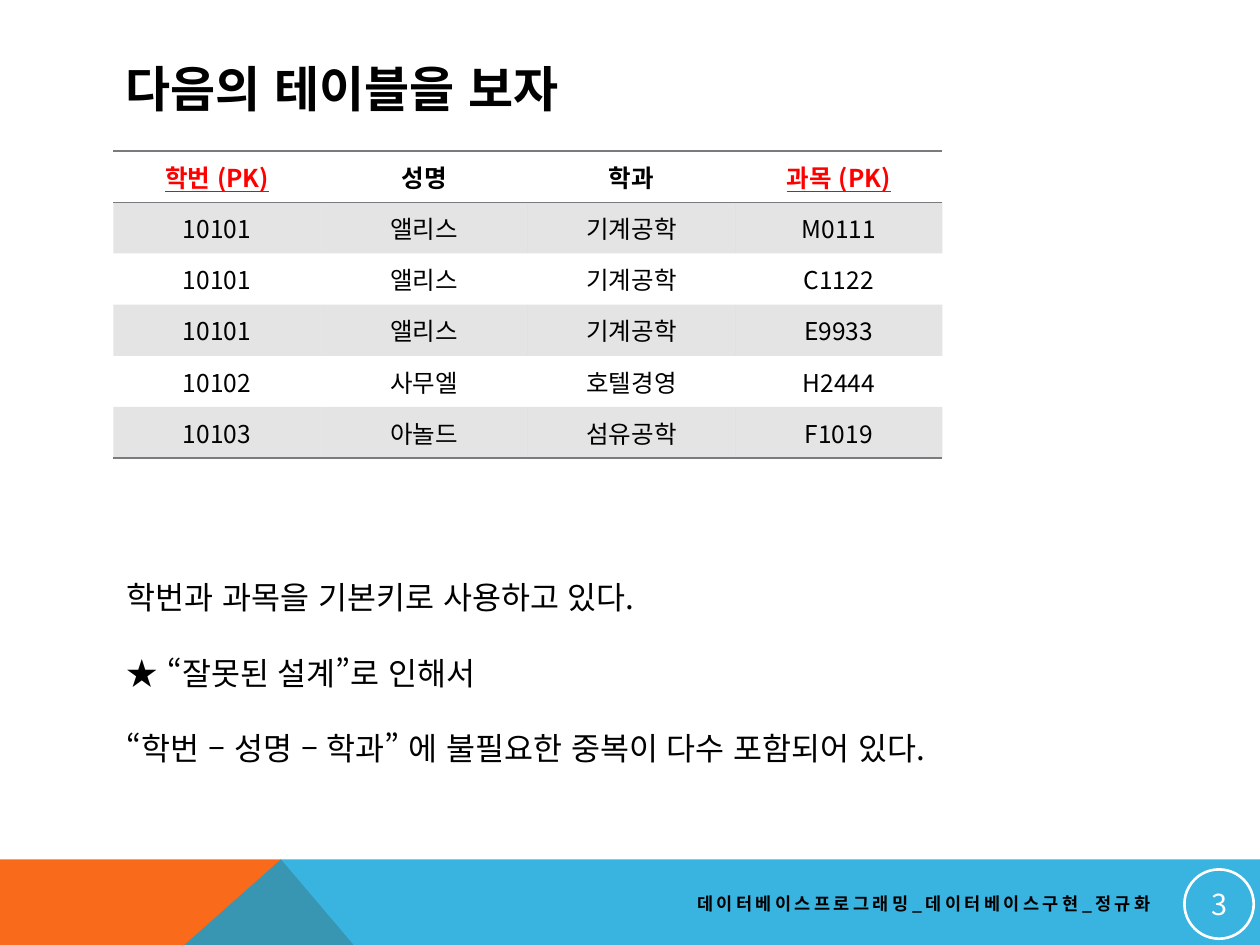
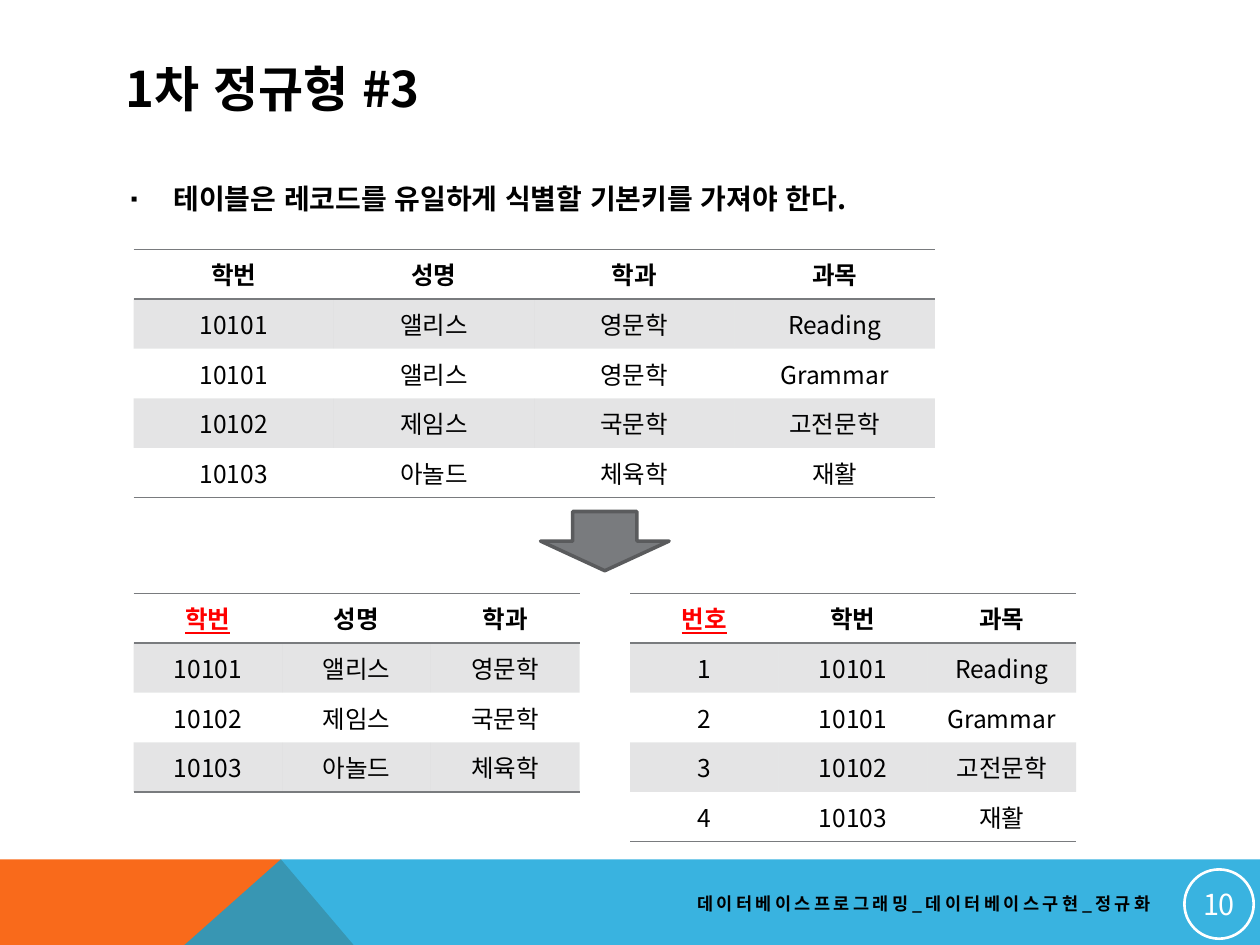
from pptx import Presentation
from pptx.util import Inches, Pt
from pptx.dml.color import RGBColor
from pptx.enum.shapes import MSO_SHAPE
from pptx.enum.text import PP_ALIGN, MSO_ANCHOR
from pptx.oxml import parse_xml
from pptx.oxml.ns import qn, nsdecls
from lxml.etree import SubElement

FONT = "Noto Sans CJK KR"
INK = {"black": "000000", "white": "FFFFFF", "red": "FF0000", "grey": "797B7E",
       "dark": "5A5B5D", "orange": "F96A1B", "blue": "08A1D9"}
PLAIN = "{2D5ABB26-0587-4C30-8999-92F81FD0307C}"
FOOT = "데이터베이스프로그래밍_데이터베이스구현_정규화"
BANDS = [("orange", None, [(0, 8.8), (0, 6.82), (2.23, 6.82), (3.91, 8.8)]),
         ("blue", 80, [(0, 8.8), (2.23, 6.82), (10, 6.82), (10, 8.8)])]

SLIDES = [
    {"title": "다음의 테이블을 보자", "page": "3",
     "body": ["학번과 과목을 기본키로 사용하고 있다.",
              "★ “잘못된 설계”로 인해서",
              "“학번 – 성명 – 학과” 에 불필요한 중복이 다수 포함되어 있다."],
     "tables": [
         {"at": (0.9, 1.2), "width": 6.58, "row": 0.406, "keys": (0, 3), "rows": [
             ("학번 (PK)", "성명", "학과", "과목 (PK)"),
             ("10101", "앨리스", "기계공학", "M0111"),
             ("10101", "앨리스", "기계공학", "C1122"),
             ("10101", "앨리스", "기계공학", "E9933"),
             ("10102", "사무엘", "호텔경영", "H2444"),
             ("10103", "아놀드", "섬유공학", "F1019")]}]},
    {"title": "1차 정규형 #3", "page": "10",
     "point": "테이블은 레코드를 유일하게 식별할 기본키를 가져야 한다.",
     "arrow": (4.29, 4.06, 1.02, 0.47),
     "tables": [
         {"at": (1.06, 4.71), "width": 3.54, "row": 0.394, "keys": (0,), "rows": [
             ("학번", "성명", "학과"),
             ("10101", "앨리스", "영문학"),
             ("10102", "제임스", "국문학"),
             ("10103", "아놀드", "체육학")]},
         {"at": (1.06, 1.98), "width": 6.36, "row": 0.394, "keys": (), "rows": [
             ("학번", "성명", "학과", "과목"),
             ("10101", "앨리스", "영문학", "Reading"),
             ("10101", "앨리스", "영문학", "Grammar"),
             ("10102", "제임스", "국문학", "고전문학"),
             ("10103", "아놀드", "체육학", "재활")]},
         {"at": (5, 4.71), "width": 3.54, "row": 0.394, "keys": (0,), "rows": [
             ("번호", "학번", "과목"),
             ("1", "10101", "Reading"),
             ("2", "10101", "Grammar"),
             ("3", "10102", "고전문학"),
             ("4", "10103", "재활")]}]},
]


def color(name):
    return RGBColor.from_string(INK[name])


def paint(fill, name, node, alpha=None):
    fill.solid()
    fill.fore_color.rgb = color(name)
    if alpha:
        tone = next(node.iter(qn("a:srgbClr")))
        SubElement(tone, qn("a:alpha")).set("val", str(alpha * 1000))


def write(para, text, size, ink="black", bold=False, line=False, align=None):
    run = para.add_run()
    run.text = text
    font = run.font
    font.size, font.bold, font.name = Pt(size), bold, FONT
    font.underline = line
    font.color.rgb = color(ink)
    props = run._r.get_or_add_rPr()
    props.set("lang", "ko-KR")
    props.set("altLang", "en-US")
    SubElement(props, qn("a:ea")).set("typeface", FONT)
    if align:
        para.alignment = align
    return run


def box(slide, at, anchor=MSO_ANCHOR.TOP, wrap=True):
    frame = slide.shapes.add_textbox(*map(Inches, at)).text_frame
    frame.word_wrap = wrap
    frame.vertical_anchor = anchor
    return frame


def shape(slide, kind, at, line, width):
    item = slide.shapes.add_shape(kind, *map(Inches, at))
    item.shadow.inherit = False
    item.line.color.rgb = color(line)
    item.line.width = Pt(width)
    return item


def frame(slide, title, page):
    for name, alpha, points in BANDS:
        spots = [(Inches(x), Inches(y)) for x, y in points]
        path = slide.shapes.build_freeform(*spots[0])
        path.add_line_segments(spots[1:], close=True)
        band = path.convert_to_shape()
        band.shadow.inherit = False
        paint(band.fill, name, band._element.spPr, alpha)
        band.line.fill.background()
    head = box(slide, (0.9, 0.4, 8.22, 0.6), MSO_ANCHOR.MIDDLE)
    write(head.paragraphs[0], title, 28, bold=True)
    foot = box(slide, (4.06, 7.02, 5.17, 0.3), MSO_ANCHOR.MIDDLE)
    run = write(foot.paragraphs[0], FOOT, 10, bold=True, align=PP_ALIGN.RIGHT)
    run._r.get_or_add_rPr().set("spc", "200")
    disc = shape(slide, MSO_SHAPE.OVAL, (9.4, 6.9, 0.55, 0.55), "white", 1.5)
    disc.fill.background()
    text = disc.text_frame
    text.margin_left = text.margin_right = Inches(0.01)
    text.margin_top = text.margin_bottom = Inches(0.01)
    text.vertical_anchor = MSO_ANCHOR.MIDDLE
    write(text.paragraphs[0], page, 16.5, "white", align=PP_ALIGN.CENTER)


def rule(cell, side):
    edge = parse_xml(f'<a:{side} {nsdecls("a")} w="12700"><a:solidFill>'
                     f'<a:srgbClr val="{INK["grey"]}"/></a:solidFill></a:{side}>')
    cell._tc.get_or_add_tcPr().insert(0, edge)


def grid(slide, data):
    rows, high = data["rows"], data["row"]
    count, last = len(rows[0]), len(rows) - 1
    size = (data["width"], high * len(rows))
    table = slide.shapes.add_table(len(rows), count,
                                   *map(Inches, data["at"] + size)).table
    table.first_row = table.horz_banding = False
    table._tbl.tblPr.find(qn("a:tableStyleId")).text = PLAIN
    for col in table.columns:
        col.width = Inches(data["width"] / count)
    for r, row in enumerate(rows):
        table.rows[r].height = Inches(high)
        for c, text in enumerate(row):
            cell = table.cell(r, c)
            cell.vertical_anchor = MSO_ANCHOR.MIDDLE
            key = r == 0 and c in data["keys"]
            write(cell.text_frame.paragraphs[0], text, 14,
                  "red" if key else "black", r == 0, key, PP_ALIGN.CENTER)
            if r % 2:
                paint(cell.fill, "grey", cell._tc.tcPr, 20)
            else:
                cell.fill.background()
            if r in (0, last):
                rule(cell, "lnB")
            if r == 0:
                rule(cell, "lnT")


def notes(slide, lines):
    text = box(slide, (0.91, 4.54, 7.16, 1.62), wrap=False)
    for i, line in enumerate(lines):
        para = text.add_paragraph() if i else text.paragraphs[0]
        para.line_spacing = Pt(21.6)
        para.space_before = Pt(21.6 if i else 0)
        write(para, line, 18)


def point(slide, line):
    para = box(slide, (0.9, 1.39, 8.22, 0.5)).paragraphs[0]
    write(para, line, 16, bold=True)
    props = para._p.get_or_add_pPr()
    props.set("marL", str(Inches(0.38)))
    props.set("indent", str(-Inches(0.38)))
    SubElement(props, qn("a:buSzPct")).set("val", "65000")
    SubElement(props, qn("a:buFont")).set("typeface", FONT)
    SubElement(props, qn("a:buChar")).set("char", "▪")


deck = Presentation()
deck.slide_width, deck.slide_height = Inches(10), Inches(7.5)
for data in SLIDES:
    slide = deck.slides.add_slide(deck.slide_layouts[6])
    frame(slide, data["title"], data["page"])
    if "body" in data:
        notes(slide, data["body"])
    for item in data["tables"]:
        grid(slide, item)
    if "point" in data:
        point(slide, data["point"])
    if "arrow" in data:
        arrow = shape(slide, MSO_SHAPE.DOWN_ARROW, data["arrow"], "dark", 2)
        paint(arrow.fill, "grey", arrow._element.spPr)
deck.save("out.pptx")
